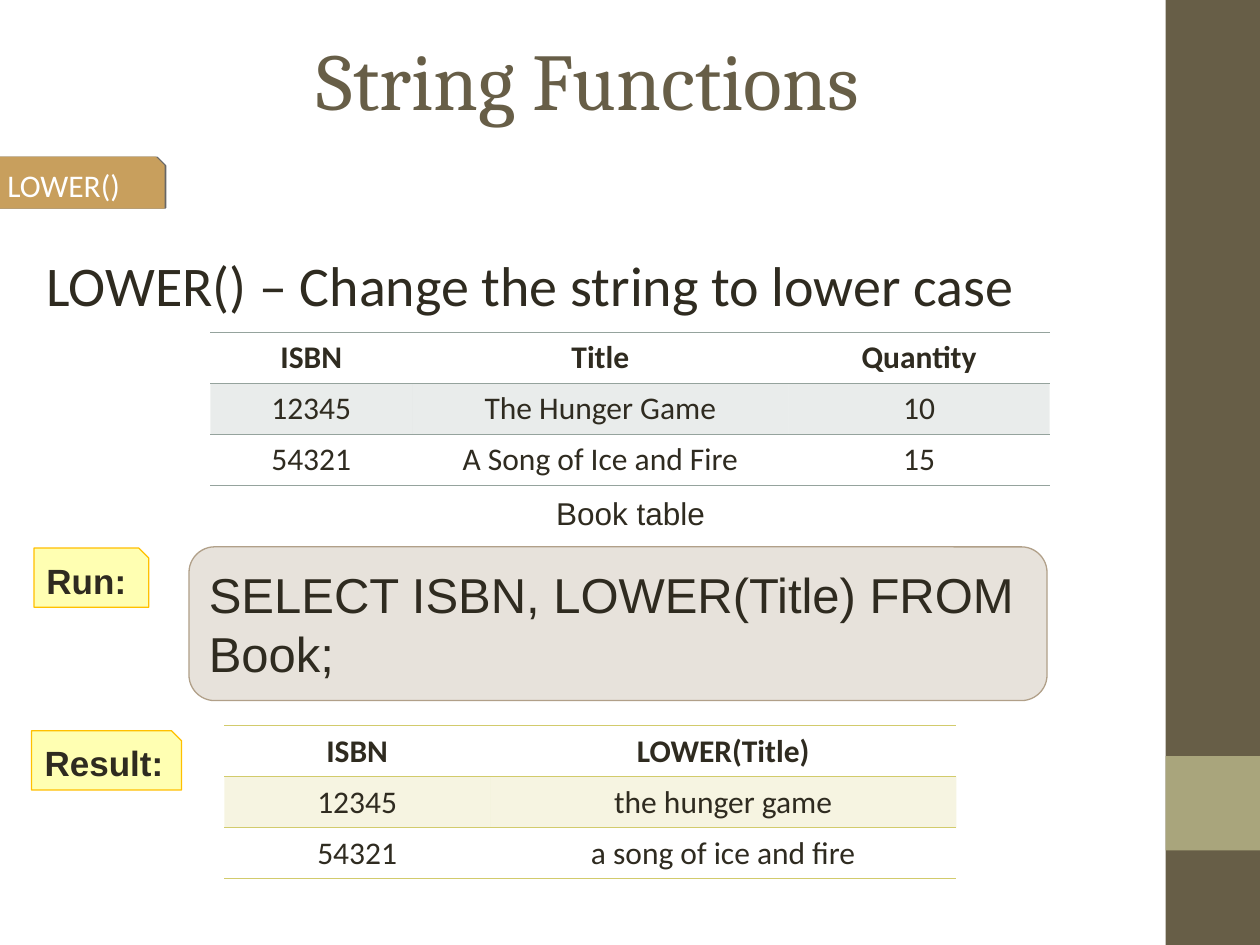
from pptx import Presentation
from pptx.dml.color import RGBColor as Rgb
from pptx.enum.shapes import MSO_SHAPE as Kind
from pptx.enum.text import MSO_ANCHOR as Anchor, PP_ALIGN as Align
from pptx.oxml import parse_xml
from pptx.oxml.ns import nsdecls, qn
from pptx.util import Inches, Pt

THEME = {
    "ink": "2F2B20", "brand": "675E47", "olive": "A9A57C", "white": "FFFFFF",
    "tan": "C89F5D", "stone": "B1A089", "note": "FFFF00", "edge": "FFC000",
    "sage": "95A39D", "lime": "D2CB6C",
    "head": "Cambria", "body": "Calibri", "code": "Arial",
    "title": 46, "lead": 32, "query": 28, "label": 20, "small": 18,
}
PLAIN = "{2D5ABB26-0587-4C30-8999-92F81FD0307C}"

BANDS = [((9.25, 0, 0.75, 7.5), "brand"), ((9.25, 6, 0.75, 0.75), "olive")]
TEXTS = [
    ("String Functions", (0.5, 0, 8.33, 1.25), "head", "title", "brand", Align.CENTER, Anchor.MIDDLE),
    ("LOWER() – Change the string to lower case", (0.27, 1.94, 9.47, 1.18),
     "body", "lead", "ink", Align.LEFT, Anchor.TOP),
    ("Book table", (3.9, 3.87, 2.21, 0.4), "code", "small", "ink", Align.CENTER, Anchor.TOP),
]
TAG = ("LOWER()", (-0.04, 1.25, 1.34, 0.4))
QUERY = ("SELECT ISBN, LOWER(Title) FROM Book;", (1.5, 4.34, 6.81, 1.22))
NOTES = [
    ("Result:", (0.25, 5.8, 1.19, 0.47), Align.CENTER),
    ("Run:", (0.27, 4.35, 0.91, 0.47), Align.LEFT),
]
TABLES = [
    ((1.78, 5.76), (2.11, 3.7), "lime", [
        ("ISBN", "LOWER(Title)"),
        ("12345", "the hunger game"),
        ("54321", "a song of ice and fire"),
    ]),
    ((1.67, 2.64), (1.6, 2.99, 2.07), "sage", [
        ("ISBN", "Title", "Quantity"),
        ("12345", "The Hunger Game", "10"),
        ("54321", "A Song of Ice and Fire", "15"),
    ]),
]
ROW = 0.405


def paint(fill, color):
    fill.solid()
    fill.fore_color.rgb = Rgb.from_string(THEME[color])


def fade(props, share):
    tint = props.find(qn("a:solidFill")).find(qn("a:srgbClr"))
    tint.append(parse_xml(f'<a:alpha {nsdecls("a")} val="{share * 1000}"/>'))


def write(frame, text, font, size, color="ink", align=Align.LEFT, bold=False):
    para = frame.paragraphs[0]
    para.alignment = align
    run = para.add_run()
    run.text = text
    run.font.name = THEME[font]
    run.font.size = Pt(THEME[size])
    run.font.bold = bold
    run.font.color.rgb = Rgb.from_string(THEME[color])


def block(slide, kind, box, color, edge=None, width=0.75, share=None):
    shape = slide.shapes.add_shape(kind, *map(Inches, box))
    shape.shadow.inherit = False
    paint(shape.fill, color)
    if share:
        fade(shape.element.spPr, share)
    if edge:
        paint(shape.line.fill, edge)
        shape.line.width = Pt(width)
    else:
        shape.line.fill.background()
    shape.text_frame.word_wrap = True
    shape.text_frame.vertical_anchor = Anchor.MIDDLE
    return shape


def rule(cell, side, color):
    line = parse_xml(
        f'<a:{side} {nsdecls("a")} w="{Pt(0.45)}"><a:solidFill>'
        f'<a:srgbClr val="{THEME[color]}"/></a:solidFill></a:{side}>')
    cell._tc.get_or_add_tcPr().insert(0, line)


def grid(slide, spot, widths, color, rows):
    size = (sum(widths), ROW * len(rows))
    frame = slide.shapes.add_table(len(rows), len(widths), *map(Inches, spot + size))
    frame.element.find(".//" + qn("a:tableStyleId")).text = PLAIN
    table = frame.table
    table.horz_banding = False
    for col, width in zip(table.columns, widths):
        col.width = Inches(width)
    for r, row in enumerate(rows):
        table.rows[r].height = Inches(ROW)
        for c, text in enumerate(row):
            cell = table.cell(r, c)
            write(cell.text_frame, text, "body", "small", align=Align.CENTER, bold=r == 0)
            if r == 1:
                paint(cell.fill, color)
                fade(cell._tc.tcPr, 20)
            else:
                cell.fill.background()
            if r != 1:
                rule(cell, "lnB", color)
            if r < 2:
                rule(cell, "lnT", color)


def main():
    deck = Presentation()
    deck.slide_width, deck.slide_height = Inches(10), Inches(7.5)
    slide = deck.slides.add_slide(deck.slide_layouts[6])

    for box, color in BANDS:
        block(slide, Kind.RECTANGLE, box, color)

    for text, box, font, size, color, align, anchor in TEXTS:
        frame = slide.shapes.add_textbox(*map(Inches, box)).text_frame
        frame.word_wrap = True
        frame.vertical_anchor = anchor
        write(frame, text, font, size, color, align)

    text, box = TAG
    tag = block(slide, Kind.SNIP_1_RECTANGLE, box, "tan", "tan", 1)
    write(tag.text_frame, text, "body", "small", "white")
    tag.element.spPr.find(qn("a:effectLst")).append(parse_xml(
        f'<a:outerShdw {nsdecls("a")} blurRad="0" dist="{Pt(1)}" dir="0">'
        '<a:srgbClr val="000000"><a:alpha val="60000"/></a:srgbClr></a:outerShdw>'))

    text, box = QUERY
    query = block(slide, Kind.ROUNDED_RECTANGLE, box, "stone", "stone", share=30)
    write(query.text_frame, text, "code", "query")

    for text, box, align in NOTES:
        note = block(slide, Kind.SNIP_1_RECTANGLE, box, "note", "edge", share=30)
        write(note.text_frame, text, "code", "label", align=align, bold=True)

    for spot, widths, color, rows in TABLES:
        grid(slide, spot, widths, color, rows)

    deck.save("out.pptx")


if __name__ == "__main__":
    main()
